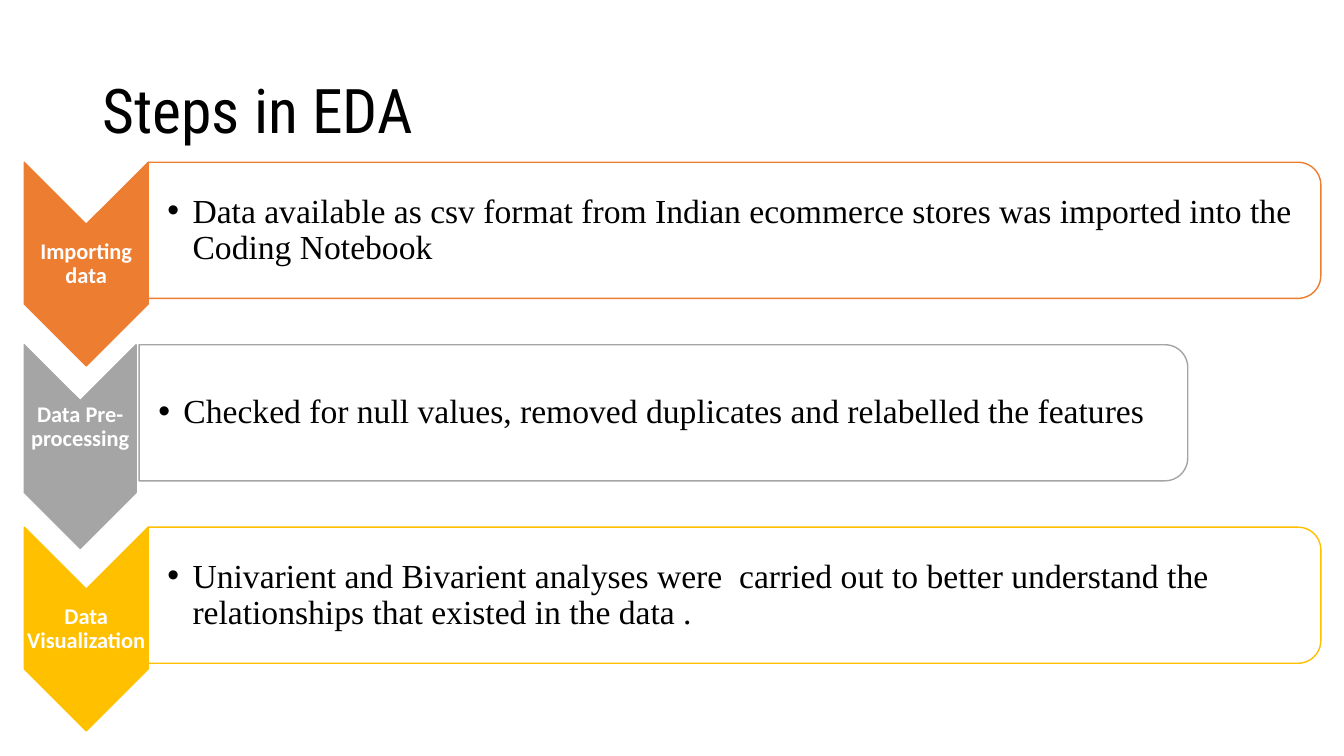
"""Builds the slide that lists the steps in EDA."""
from lxml import etree
from pptx import Presentation, util as u
from pptx.dml.color import RGBColor
from pptx.enum import shapes, text
from pptx.oxml.ns import qn

COLORS = {"ink": "000000", "paper": "FFFFFF", "import": "ED7D31",
          "prepare": "A5A5A5", "chart": "FFC000"}
WIDTH, HEIGHT = 13.33, 7.5
ROW_TOP, ROW_PITCH, ROW_LEFT = 1.61, 1.81, 0.24
ARROW_HEIGHT, PANEL_HEIGHT = 2.02, 1.35

TITLE = {"name": "Roboto Condensed", "size": u.Pt(44), "bold": False}
LABEL = {"name": "Calibri", "size": u.Pt(16), "bold": True}
DETAIL = {"name": "Times New Roman", "size": u.Pt(24), "bold": False}

STEPS = [
    {"color": "import", "label": "Importing data", "arrow": 1.23, "gap": 0, "panel": 11.63, "lift": 0,
     "detail": "Data available as csv format from Indian ecommerce stores "
               "was imported into the Coding Notebook"},
    {"color": "prepare", "label": "Data Pre-processing", "arrow": 1.11, "gap": 0.03, "panel": 10.4, "lift": 0.19,
     "detail": "Checked for null values, removed duplicates and relabelled the features"},
    {"color": "chart", "label": "Data Visualization", "arrow": 1.23, "gap": 0, "panel": 11.63, "lift": 0,
     "detail": "Univarient and Bivarient analyses were  carried out to better "
               "understand the relationships that existed in the data ."},
]


def rgb(name):
    """Return the named colour."""
    return RGBColor.from_string(COLORS[name])


def apply(target, values):
    """Set every attribute in values on the target."""
    for name, value in values.items():
        setattr(target, name, value)


def add_text(page, box, words, font, color, align, margins):
    """Place vertically centred text in the box and return its paragraph."""
    frame = page.shapes.add_textbox(*map(u.Inches, box)).text_frame
    apply(frame, {"word_wrap": True, "vertical_anchor": text.MSO_ANCHOR.MIDDLE})
    sides = ("margin_left", "margin_top", "margin_right", "margin_bottom")
    apply(frame, dict(zip(sides, map(u.Inches, margins))))
    para = frame.paragraphs[0]
    apply(para, {"alignment": align, "line_spacing": 0.9})
    span = para.add_run()
    span.text = words
    apply(span.font, font)
    span.font.color.rgb = rgb(color)
    return para


def add_turned(page, kind, box, fill, line):
    """Place a preset turned a quarter clockwise so that it fills the box."""
    left, top, width, height = box
    shift = (width - height) / 2
    place = (left + shift, top - shift, height, width)
    shape = page.shapes.add_shape(kind, *map(u.Inches, place))
    shape.rotation = 90
    shape.shadow.inherit = False
    shape.fill.solid()
    shape.fill.fore_color.rgb = rgb(fill)
    shape.line.color.rgb = rgb(line)
    shape.line.width = u.Pt(1)
    return shape


def add_bullet(para):
    """Give the paragraph a hanging round bullet."""
    settings = para._p.get_or_add_pPr()
    settings.set("marL", str(u.Inches(0.25)))
    settings.set("indent", str(u.Inches(-0.25)))
    etree.SubElement(settings, qn("a:buFont"), typeface="Arial")
    etree.SubElement(settings, qn("a:buChar"), char="•")


def add_arrow(page, box, step):
    """Draw the downward chevron and its label."""
    left, top, width, height = box
    add_turned(page, shapes.MSO_SHAPE.CHEVRON, box, step["color"], step["color"])
    notch = width / 2
    label_box = (left, top + notch - step["lift"], width, height - 2 * notch)
    add_text(page, label_box, step["label"], LABEL, "paper", text.PP_ALIGN.CENTER, [0.01] * 4)


def add_panel(page, box, step):
    """Draw the outlined panel and its bullet."""
    left, top, width, height = box
    panel = add_turned(page, shapes.MSO_SHAPE.ROUND_2_SAME_RECTANGLE, box, "paper", step["color"])
    tint = panel._element.spPr.find(qn("a:solidFill"))[0]
    etree.SubElement(tint, qn("a:alpha"), val="90000")
    inset = 0.07
    detail_box = (left, top + inset, width - inset, height - 2 * inset)
    add_bullet(add_text(page, detail_box, step["detail"], DETAIL, "ink",
                        text.PP_ALIGN.LEFT, [0.19, 0.02, 0.02, 0.02]))


def add_step(page, left, top, step):
    """Place one step row from its top left corner."""
    add_arrow(page, (left, top, step["arrow"], ARROW_HEIGHT), step)
    panel_left = left + step["arrow"] + step["gap"]
    add_panel(page, (panel_left, top, step["panel"], PANEL_HEIGHT), step)


def main():
    """Build and save the deck."""
    deck = Presentation()
    apply(deck, {"slide_width": u.Inches(WIDTH), "slide_height": u.Inches(HEIGHT)})
    page = deck.slides.add_slide(deck.slide_layouts[6])
    add_text(page, (0.92, 0.4, 11.5, 1.45), "Steps in EDA", TITLE, "ink",
             text.PP_ALIGN.LEFT, [0.1, 0.05, 0.1, 0.05])
    for row, step in enumerate(STEPS):
        add_step(page, ROW_LEFT, ROW_TOP + row * ROW_PITCH, step)
    deck.save("out.pptx")


if __name__ == "__main__":
    main()
